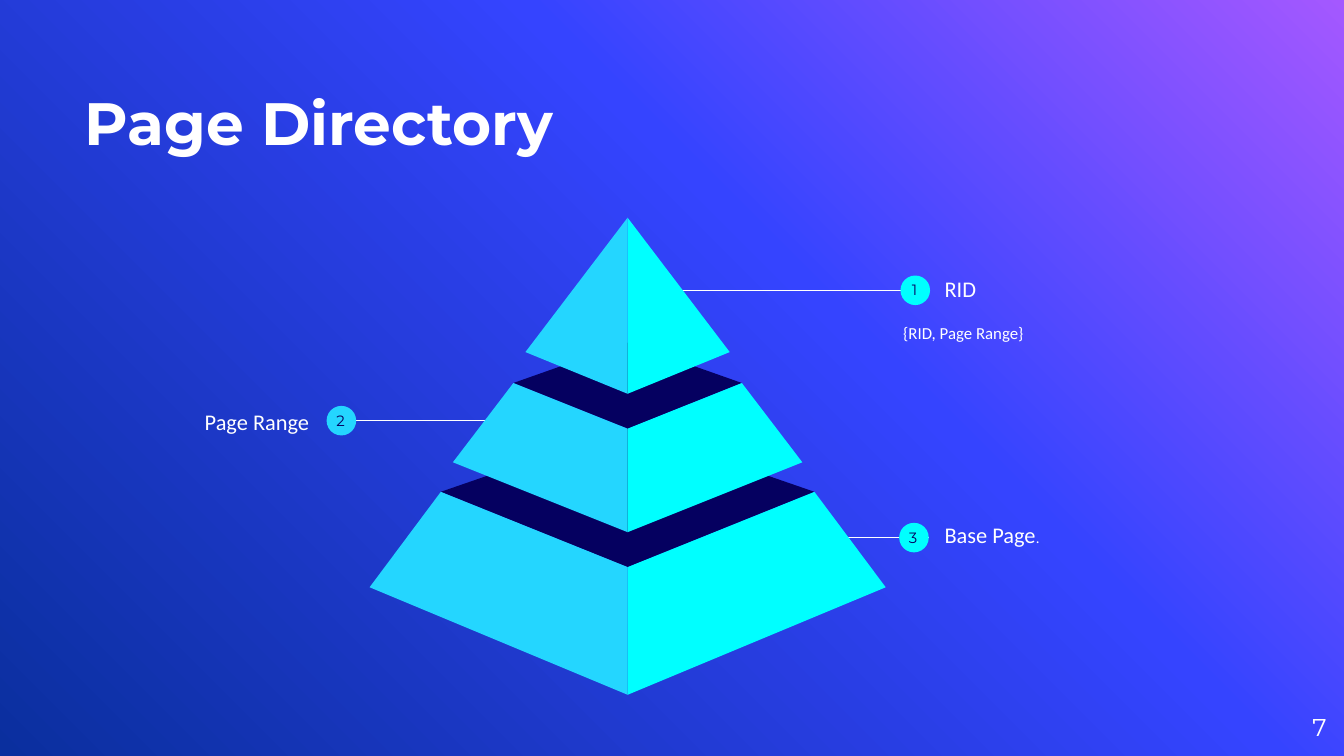
from copy import deepcopy
from dataclasses import dataclass

from lxml import etree
from pptx import Presentation
from pptx.dml.color import RGBColor
from pptx.enum.shapes import MSO_CONNECTOR, MSO_SHAPE
from pptx.enum.text import MSO_ANCHOR, MSO_AUTO_SIZE, PP_ALIGN
from pptx.oxml.ns import qn
from pptx.util import Inches, Pt

LEFT, CENTER, RIGHT = PP_ALIGN.LEFT, PP_ALIGN.CENTER, PP_ALIGN.RIGHT
TOP, MIDDLE, BOTTOM = MSO_ANCHOR.TOP, MSO_ANCHOR.MIDDLE, MSO_ANCHOR.BOTTOM
NO_AUTOFIT = MSO_AUTO_SIZE.NONE
STRAIGHT, OVAL = MSO_CONNECTOR.STRAIGHT, MSO_SHAPE.OVAL


@dataclass(frozen=True)
class Theme:
    white: str = "FFFFFF"
    navy: str = "050060"
    sky: str = "24D6FF"
    aqua: str = "00FFFF"
    backdrop: tuple = ((0, "A458FF"), (0.39, "3544FF"), (1, "0A2F9E"))
    heading: str = "Montserrat"
    body: str = "Calibri"
    title: float = 32
    number: float = 13
    label: float = 12
    note: float = 9
    small: float = 8


THEME = Theme()


@dataclass(frozen=True)
class Span:
    text: str
    size: float
    font: str
    color: str = THEME.white
    bold: bool = False


@dataclass(frozen=True)
class Tier:
    back: float
    top_half: float
    shoulder: float
    front: float
    base_half: float
    base: float
    tip: float


@dataclass(frozen=True)
class Callout:
    number: str
    spans: tuple
    label_at: tuple
    align: PP_ALIGN
    line: tuple
    badge: tuple
    fill: str


SLIDE_WIDTH = Inches(10)
SLIDE_HEIGHT = SLIDE_WIDTH * 9 // 16
AXIS = 4.67
BADGE = 0.22
TIERS = (
    Tier(3.18, 1.39, 3.66, 4.22, 1.92, 4.37, 5.17),
    Tier(2.55, 0.85, 2.85, 3.19, 1.3, 3.44, 3.96),
    Tier(1.62, 0, 1.62, 1.62, 0.76, 2.62, 2.93),
)
CALLOUTS = (
    Callout("3", (Span("Base Page", THEME.label, THEME.body),
                  Span(".", THEME.small, THEME.body)),
            (6.93, 3.22), LEFT, (6.27, 6.91, 4), (6.69, 3.89), THEME.aqua),
    Callout("2", (Span("Page Range", THEME.label, THEME.body),),
            (0.36, 2.38), RIGHT, (3.64, 2.5, 3.13), (2.43, 3.02), THEME.sky),
    Callout("1", (Span("RID", THEME.label, THEME.body),),
            (6.93, 1.39), LEFT, (5.03, 6.91, 2.16), (6.7, 2.05), THEME.aqua),
)


def apply(target, values: dict) -> None:
    for name, value in values.items():
        setattr(target, name, value)


def write(box, spans: tuple, align=LEFT, anchor=MIDDLE, inset=0.0, foot=None, after=0) -> None:
    frame = box.text_frame
    side = Inches(inset)
    apply(frame, {
        "word_wrap": True, "auto_size": NO_AUTOFIT, "vertical_anchor": anchor,
        "margin_left": side, "margin_right": side, "margin_top": side,
        "margin_bottom": side if foot is None else Inches(foot),
    })
    para = frame.paragraphs[0]
    apply(para, {"alignment": align, "space_after": Pt(after)})
    for span in spans:
        run = para.add_run()
        run.text = span.text
        apply(run.font, {"name": span.font, "size": Pt(span.size), "bold": span.bold})
        run.font.color.rgb = RGBColor.from_string(span.color)


def add_text(page, at: tuple, spans: tuple, **options) -> None:
    write(page.shapes.add_textbox(*map(Inches, at)), spans, **options)


def paint(shape, color: str) -> None:
    shape.shadow.inherit = False
    shape.fill.solid()
    shape.fill.fore_color.rgb = RGBColor.from_string(color)
    shape.line.fill.background()


def add_outline(page, points: list, color: str) -> None:
    corners = [(Inches(x), Inches(y)) for x, y in points]
    builder = page.shapes.build_freeform(*corners[0])
    builder.add_line_segments(corners[1:], close=True)
    paint(builder.convert_to_shape(), color)


def add_tier(page, tier: Tier) -> None:
    if tier.top_half:
        add_outline(page, [(AXIS - tier.top_half, tier.shoulder), (AXIS, tier.front),
                           (AXIS + tier.top_half, tier.shoulder), (AXIS, tier.back)],
                    THEME.navy)
    for side, color in ((-1, THEME.sky), (1, THEME.aqua)):
        add_outline(page, [(AXIS + side * tier.top_half, tier.shoulder),
                           (AXIS + side * tier.base_half, tier.base),
                           (AXIS, tier.tip), (AXIS, tier.front)], color)


def add_callout(page, callout: Callout) -> None:
    start, end, level = map(Inches, callout.line)
    leader = page.shapes.add_connector(STRAIGHT, start, level, end, level)
    leader.line.color.rgb = RGBColor.from_string(THEME.white)
    leader.line.width = Pt(0.75)
    etree.SubElement(leader._element.spPr, qn("a:effectLst"))
    add_text(page, (*callout.label_at, 2.04, 1.51), callout.spans,
             align=callout.align, inset=0.1)
    left, top = callout.badge
    paint(page.shapes.add_shape(OVAL, *map(Inches, (left, top, BADGE, BADGE))), callout.fill)
    digit = Span(callout.number, THEME.small, THEME.heading, THEME.navy)
    add_text(page, (left - 0.03, top - 0.06, 0.27, 0.34), (digit,),
             align=CENTER, anchor=TOP, inset=0.1, after=16)


def set_backdrop(page) -> None:
    fill = page.background.fill
    fill.gradient()
    fill.gradient_angle = 225
    stops = next(page._element.iter(qn("a:gsLst")))
    stops.append(deepcopy(stops[0]))
    for stop, (position, color) in zip(fill.gradient_stops, THEME.backdrop):
        stop.position = position
        stop.color.rgb = RGBColor.from_string(color)


def main() -> None:
    deck = Presentation()
    apply(deck, {"slide_width": SLIDE_WIDTH, "slide_height": SLIDE_HEIGHT})
    page = deck.slides.add_slide(deck.slide_layouts[5])
    set_backdrop(page)
    title = page.shapes.title
    apply(title, {"left": Inches(0.63), "top": Inches(0.23),
                  "width": Inches(6.58), "height": Inches(0.94)})
    write(title, (Span("Page Directory", THEME.title, THEME.heading, bold=True),),
          anchor=BOTTOM)
    add_text(page, (9.27, 5.19, 0.6, 0.43),
             (Span("7", THEME.number, THEME.heading),), align=RIGHT)
    for callout in CALLOUTS:
        add_callout(page, callout)
    for tier in TIERS:
        add_tier(page, tier)
    add_text(page, (6.72, 2.45, 1.41, 0.24),
             (Span("{RID, Page Range}", THEME.note, THEME.body),),
             anchor=BOTTOM, foot=0.14)
    deck.save("out.pptx")


main()
